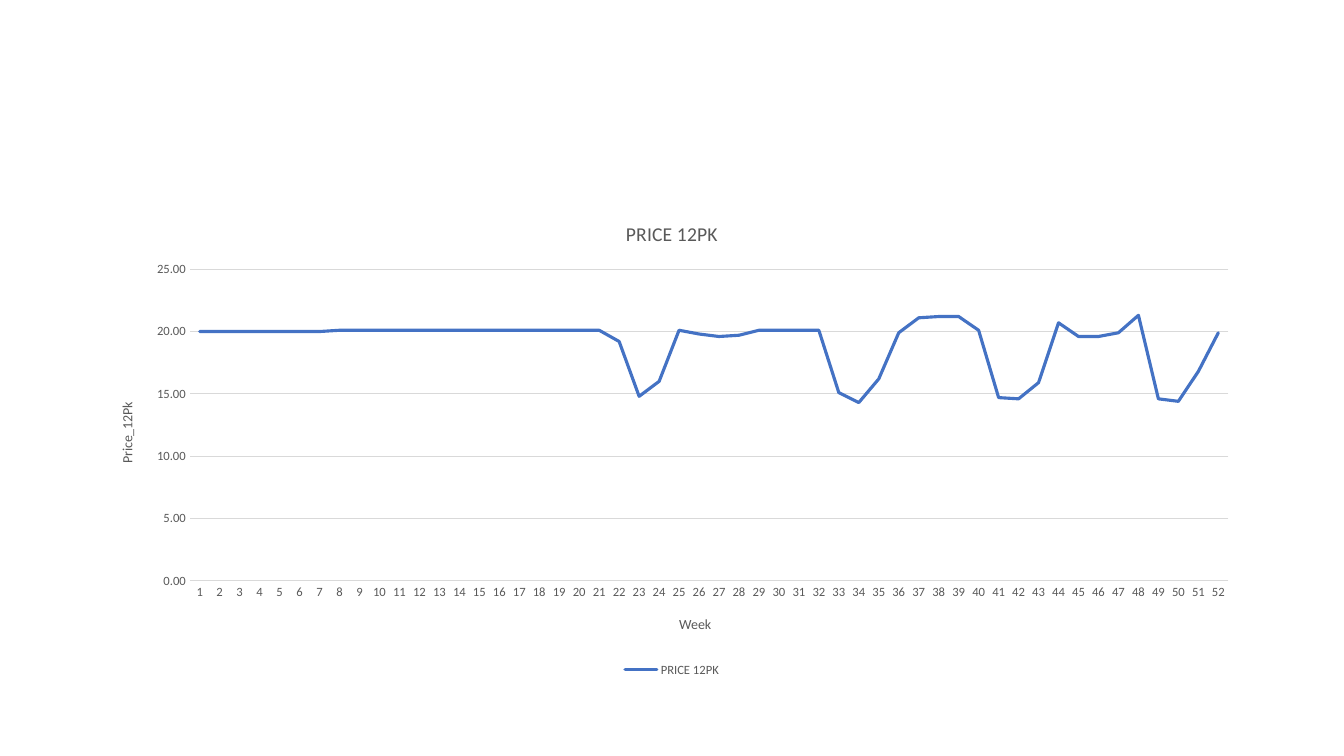
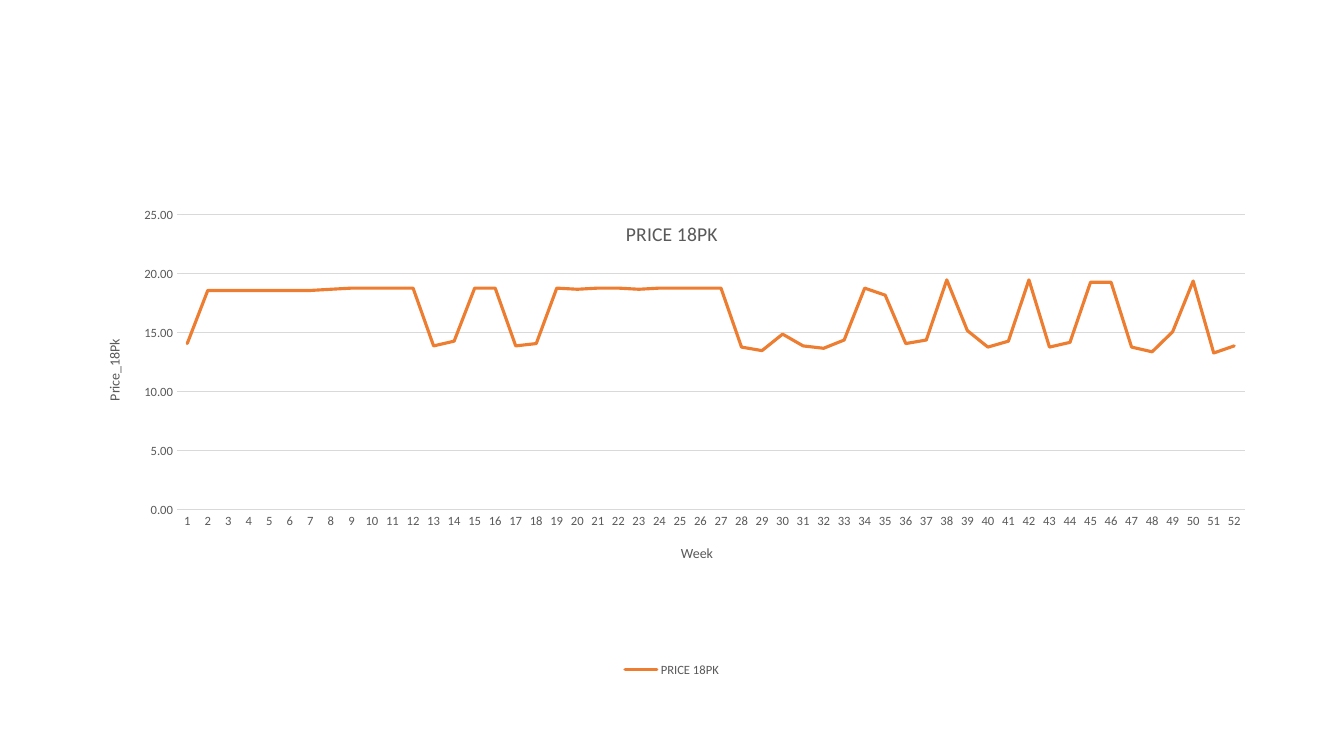
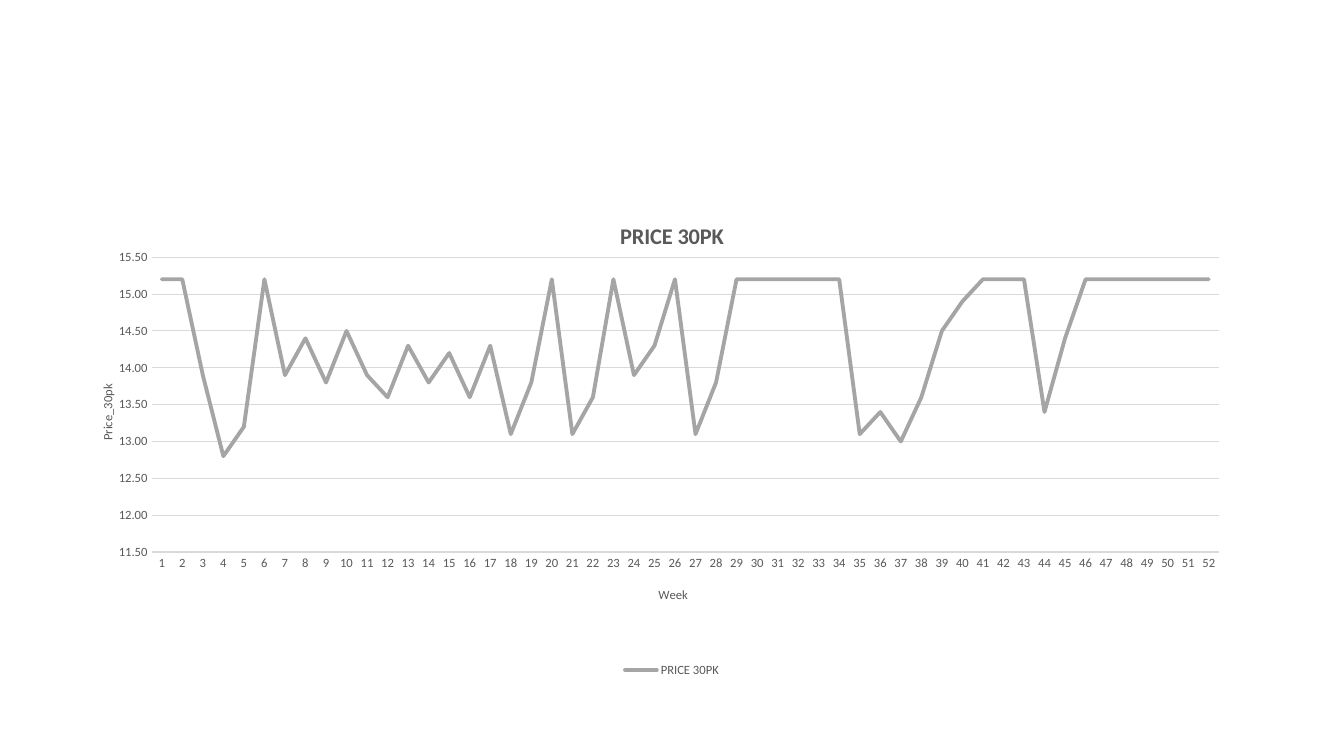
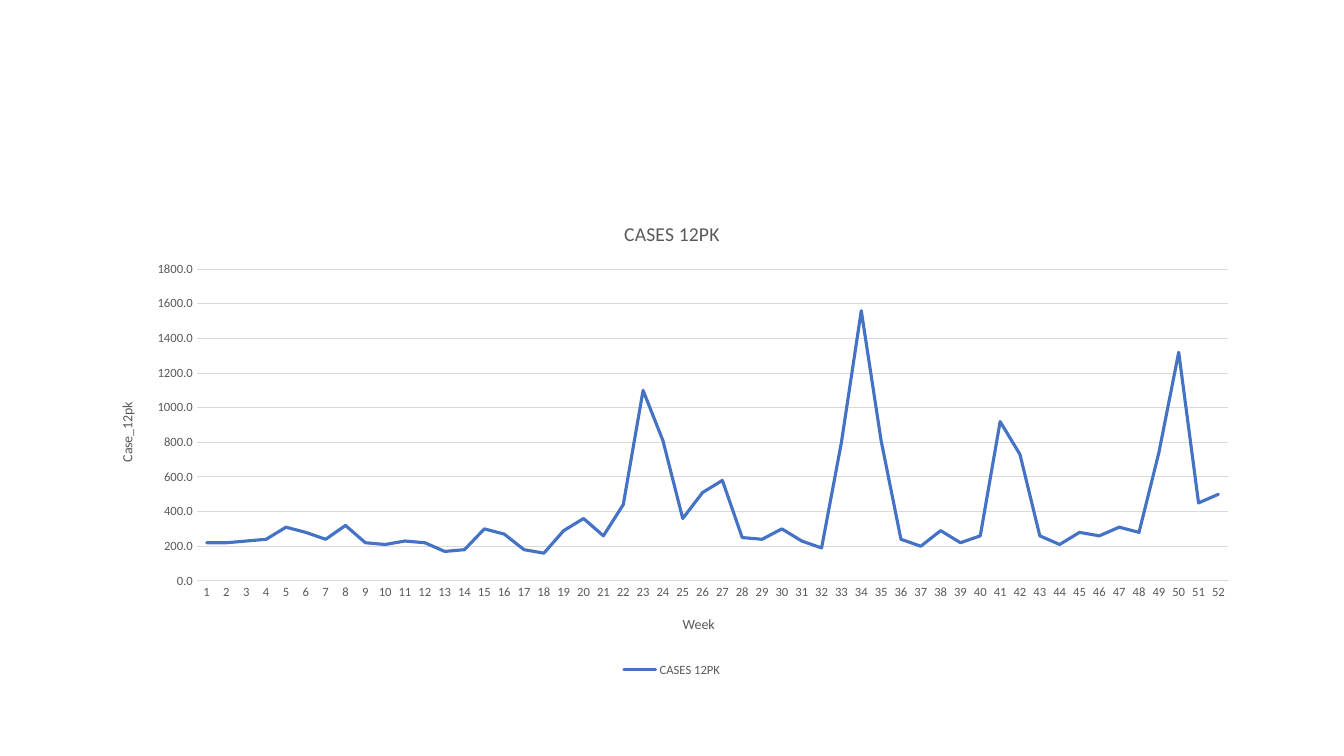
"""Build four slides of weekly price and case line charts."""
from dataclasses import dataclass

from lxml.etree import SubElement
from pptx import Presentation
from pptx.chart.data import CategoryChartData
from pptx.dml.color import RGBColor
from pptx.enum.chart import XL_CHART_TYPE as ChartType
from pptx.enum.chart import XL_LEGEND_POSITION as LegendPos
from pptx.enum.chart import XL_MARKER_STYLE as Marker
from pptx.enum.chart import XL_TICK_MARK as Tick
from pptx.oxml.ns import qn
from pptx.util import Pt

FONT = "Calibri"
TEXT = RGBColor(0x59, 0x59, 0x59)
GRID = RGBColor(0xD9, 0xD9, 0xD9)
BLUE = RGBColor(0x44, 0x72, 0xC4)
ORANGE = RGBColor(0xED, 0x7D, 0x31)
GRAY = RGBColor(0xA5, 0xA5, 0xA5)

CHART_BOX = (66, 144, 828, 342.6)
WEEKS = [str(week) for week in range(1, 53)]

PRICE_12 = [20] * 7 + [20.1] * 14 + [
    19.2, 14.8, 16, 20.1, 19.8, 19.6, 19.7, 20.1, 20.1, 20.1, 20.1,
    15.1, 14.3, 16.2, 19.9, 21.1, 21.2, 21.2, 20.1, 14.7, 14.6, 15.9,
    20.7, 19.6, 19.6, 19.9, 21.3, 14.6, 14.4, 16.8, 19.9]
PRICE_18 = [14.1] + [18.6] * 6 + [18.7] + [18.8] * 4 + [
    13.9, 14.3, 18.8, 18.8, 13.9, 14.1, 18.8, 18.7, 18.8, 18.8, 18.7,
    18.8, 18.8, 18.8, 18.8, 13.8, 13.5, 14.9, 13.9, 13.7, 14.4, 18.8,
    18.2, 14.1, 14.4, 19.5, 15.2, 13.8, 14.3, 19.5, 13.8, 14.2, 19.3,
    19.3, 13.8, 13.4, 15.1, 19.4, 13.3, 13.9]
PRICE_30 = [
    15.2, 15.2, 13.9, 12.8, 13.2, 15.2, 13.9, 14.4, 13.8, 14.5, 13.9,
    13.6, 14.3, 13.8, 14.2, 13.6, 14.3, 13.1, 13.8, 15.2, 13.1, 13.6,
    15.2, 13.9, 14.3, 15.2, 13.1, 13.8] + [15.2] * 6 + [
    13.1, 13.4, 13, 13.6, 14.5, 14.9, 15.2, 15.2, 15.2, 13.4,
    14.4] + [15.2] * 7
CASES_12 = [
    220, 220, 230, 240, 310, 280, 240, 320, 220, 210, 230, 220, 170,
    180, 300, 270, 180, 160, 290, 360, 260, 440, 1100, 810, 360, 510,
    580, 250, 240, 300, 230, 190, 800, 1560, 810, 240, 200, 290, 220,
    260, 920, 730, 260, 210, 280, 260, 310, 280, 740, 1320, 450, 500]


@dataclass
class WeeklyChart:
    """What differs from one weekly chart to the next."""
    name: str
    value_title: str
    values: list
    color: RGBColor
    scale: tuple
    plot: tuple
    title_gap: float = 0.064
    fmt: str = "0.00"
    title_size: int = 14
    title_bold: bool = False
    axis_title_size: int = 10
    line_width: float = 2.25
    axis_width: float = 0.75


CHARTS = [
    WeeklyChart("PRICE 12PK", "Price_12Pk", PRICE_12, BLUE, (0, 25, 5),
                (0.084, 0.141, 0.896, 0.65)),
    WeeklyChart("PRICE 18PK", "Price_18Pk", PRICE_18, ORANGE, (0, 25, 5),
                (0.073, 0.028, 0.921, 0.615)),
    WeeklyChart("PRICE 30PK", "Price_30pk", PRICE_30, GRAY, (11.5, 15.5, 0.5),
                (0.051, 0.116, 0.921, 0.615), title_gap=0.047,
                title_size=16, title_bold=True, axis_title_size=9,
                line_width=2.75, axis_width=1),
    WeeklyChart("CASES 12PK", "Case_12pk", CASES_12, BLUE, (0, 1800, 200),
                (0.09, 0.141, 0.89, 0.65), title_gap=0.07, fmt="0.0"),
]


def style_font(font, size, bold=False):
    """Give a font the shared face and colour."""
    font.name, font.size, font.bold = FONT, Pt(size), bold
    font.color.rgb = TEXT


def set_title(title, text, size, bold=False):
    """Write and format a chart or axis title."""
    p = title.text_frame.paragraphs[0]
    p.text = text
    style_font(p.runs[0].font, size, bold)


def set_layout(parent, index, inner=False, **fractions):
    """Fix the place of a chart part as fractions of the chart."""
    layout = parent.find(qn("c:layout"))
    if layout is None:
        layout = parent.makeelement(qn("c:layout"), {})
        parent.insert(index, layout)
    manual = SubElement(layout, qn("c:manualLayout"))
    if inner:
        SubElement(manual, qn("c:layoutTarget")).set("val", "inner")
    for key in ("x", "y"):
        SubElement(manual, qn(f"c:{key}Mode")).set("val", "edge")
    for key, value in fractions.items():
        SubElement(manual, qn(f"c:{key}")).set("val", f"{value:.4f}")


def style_axis(axis, title, size, rotation):
    """Format the labels and title of an axis."""
    axis.major_tick_mark = axis.minor_tick_mark = Tick.NONE
    style_font(axis.tick_labels.font, 9)
    set_title(axis.axis_title, title, size)
    element = axis.axis_title._element
    element.xpath(".//a:bodyPr")[0].set("rot", str(rotation))
    return element


def style_axes(chart, s):
    """Set both axes and place their titles beside the plot."""
    left, top, width, height = s.plot
    week, value = chart.category_axis, chart.value_axis
    week_title = style_axis(week, "Week", s.axis_title_size, 0)
    value_title = style_axis(value, s.value_title, s.axis_title_size, -5400000)
    set_layout(week_title, 1, x=left + width / 2 - 0.0028 * s.axis_title_size,
               y=top + height + 0.067)
    set_layout(value_title, 1, x=left - s.title_gap,
               y=top + height / 2 - 0.0053 * s.axis_title_size)
    week.format.line.color.rgb = GRID
    week.format.line.width = Pt(s.axis_width)
    value.format.line.fill.background()
    value.minimum_scale, value.maximum_scale, value.major_unit = s.scale
    value.tick_labels.number_format = s.fmt
    value.tick_labels.number_format_is_linked = False
    grid = value.major_gridlines.format.line
    grid.color.rgb, grid.width = GRID, Pt(0.75)


def add_weekly_chart(slide, box, s):
    """Draw one weekly line chart in the given box."""
    data = CategoryChartData()
    data.categories = WEEKS
    data.add_series(s.name, s.values)
    frame = slide.shapes.add_chart(ChartType.LINE, *map(Pt, box), data)
    chart = frame.chart
    chart.font.name, chart.font.size = FONT, Pt(10)
    chart.has_title = True
    set_title(chart.chart_title, s.name, s.title_size, s.title_bold)
    chart.has_legend = True
    chart.legend.position = LegendPos.BOTTOM
    chart.legend.include_in_layout = False
    style_font(chart.legend.font, 9)

    plot = chart.plots[0]
    plot.vary_by_categories = False
    series = plot.series[0]
    series.smooth = False
    series.marker.style = Marker.NONE
    line = series.format.line
    line.color.rgb, line.width = s.color, Pt(s.line_width)
    series._element.xpath("./c:spPr/a:ln")[0].set("cap", "rnd")

    style_axes(chart, s)
    plot_area = chart._chartSpace.xpath(".//c:plotArea")[0]
    set_layout(plot_area, 0, inner=True, **dict(zip("xywh", s.plot)))


def main():
    """Build and save the presentation."""
    prs = Presentation()
    prs.slide_width, prs.slide_height = Pt(960), Pt(540)
    blank = prs.slide_layouts[6]
    for s in CHARTS:
        add_weekly_chart(prs.slides.add_slide(blank), CHART_BOX, s)
    prs.save("out.pptx")


main()
